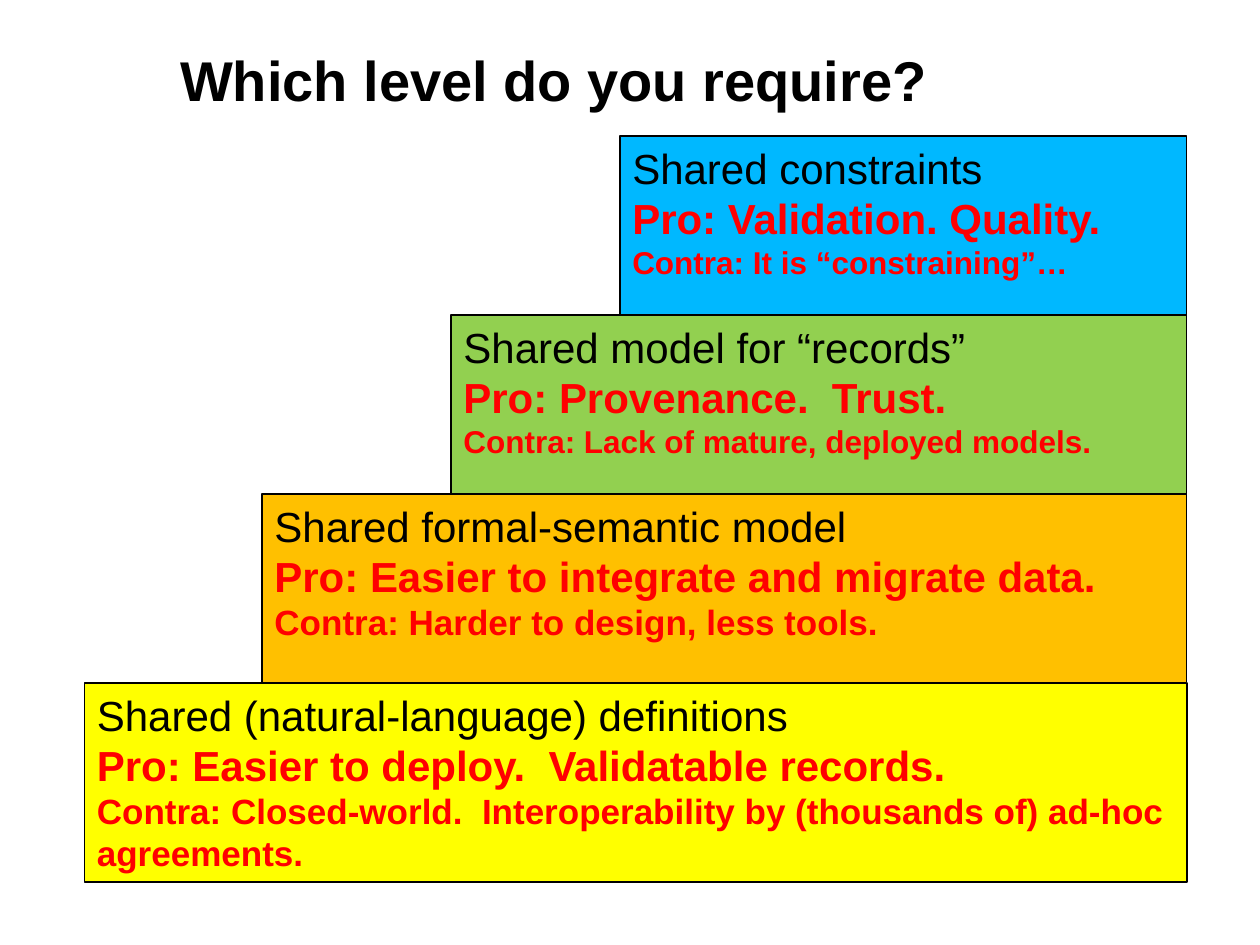
from dataclasses import dataclass

from pptx import Presentation
from pptx.dml.color import RGBColor
from pptx.enum import shapes, text
from pptx.util import Inches, Pt

BLACK = RGBColor(0x00, 0x00, 0x00)
RED = RGBColor(0xFF, 0x00, 0x00)
YELLOW = RGBColor(0xFF, 0xFF, 0x00)
ORANGE = RGBColor(0xFF, 0xC0, 0x00)
GREEN = RGBColor(0x92, 0xD0, 0x50)
BLUE = RGBColor(0x00, 0xB8, 0xFF)

STAIRS_RIGHT = 9.42
STAIRS_BOTTOM = 7.0


@dataclass
class Level:
    left: float
    height: float
    fill: RGBColor
    name: str
    pro: str
    contra: str
    contra_size: int


LEVELS = [
    Level(0.67, 1.58, YELLOW, "Shared (natural-language) definitions",
          "Pro: Easier to deploy.  Validatable records.",
          "Contra: Closed-world.  Interoperability by (thousands of) ad-hoc agreements.", 20),
    Level(2.08, 1.5, ORANGE, "Shared formal-semantic model",
          "Pro: Easier to integrate and migrate data.",
          "Contra: Harder to design, less tools.", 20),
    Level(3.58, 1.42, GREEN, "Shared model for “records”",
          "Pro: Provenance.  Trust.",
          "Contra: Lack of mature, deployed models.", 18),
    Level(4.92, 1.42, BLUE, "Shared constraints",
          "Pro: Validation. Quality.",
          "Contra: It is “constraining”…", 18),
]


def write(p, content: str, color: RGBColor, **fmt) -> None:
    """Fill a paragraph with one left-aligned Arial run."""
    p.alignment = text.PP_ALIGN.LEFT
    r = p.add_run()
    r.text = content
    r.font.color.rgb = color
    for key, value in {"name": "Arial", **fmt}.items():
        setattr(r.font, key, value)


def add_title(slide, content: str) -> None:
    sp = slide.shapes.title
    box = {"left": 1.33, "top": -0.17, "width": 7.93, "height": 1.59}
    for key, value in box.items():
        setattr(sp, key, Inches(value))
    tf = sp.text_frame
    tf.auto_size = text.MSO_AUTO_SIZE.NONE
    tf.vertical_anchor = text.MSO_ANCHOR.MIDDLE
    write(tf.paragraphs[0], content, BLACK, size=Pt(32), bold=True)


def add_level(slide, level: Level, bottom: float) -> None:
    sp = slide.shapes.add_shape(
        shapes.MSO_SHAPE.RECTANGLE, Inches(level.left), Inches(bottom - level.height),
        Inches(STAIRS_RIGHT - level.left), Inches(level.height))
    sp.shadow.inherit = False
    sp.fill.solid()
    sp.fill.fore_color.rgb = level.fill
    sp.line.color.rgb = BLACK
    sp.line.width = Pt(0.75)
    tf = sp.text_frame
    tf.word_wrap = True
    tf.vertical_anchor = text.MSO_ANCHOR.TOP
    write(tf.paragraphs[0], level.name, BLACK, size=Pt(24), bold=False)
    write(tf.add_paragraph(), level.pro, RED, size=Pt(24), bold=True)
    write(tf.add_paragraph(), level.contra, RED, size=Pt(level.contra_size), bold=True)


def main() -> None:
    prs = Presentation()
    prs.slide_width, prs.slide_height = Inches(10), Inches(7.5)
    slide = prs.slides.add_slide(prs.slide_layouts[5])
    add_title(slide, "Which level do you require?")
    bottom = STAIRS_BOTTOM
    for level in LEVELS:
        add_level(slide, level, bottom)
        bottom -= level.height
    prs.save("out.pptx")


if __name__ == "__main__":
    main()
